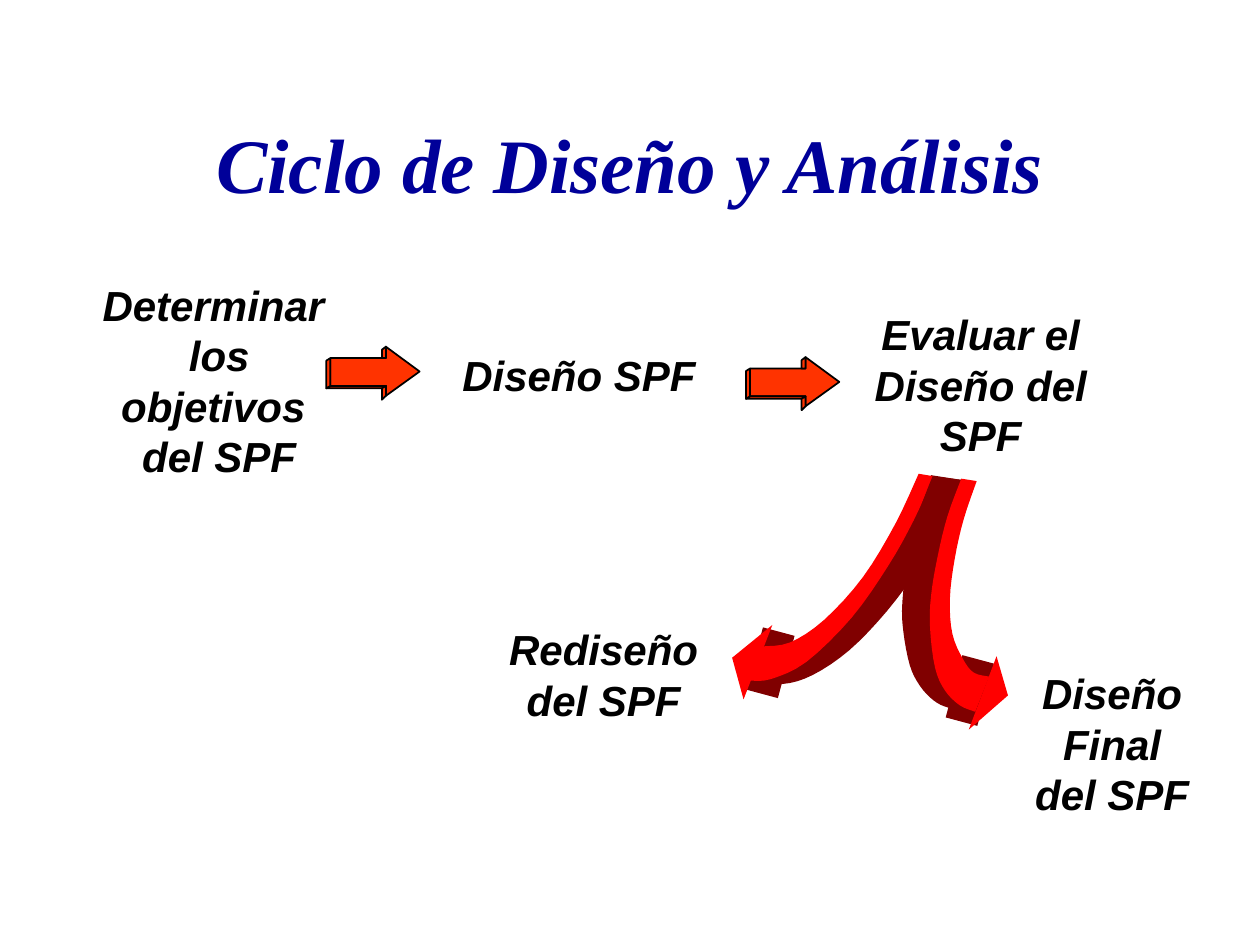
from pptx import Presentation
from pptx.dml.color import RGBColor
from pptx.enum.shapes import MSO_SHAPE as Preset
from pptx.enum.text import MSO_ANCHOR as Anchor, PP_ALIGN as Align
from pptx.util import Cm, Pt

# Content: paragraphs, box (left, top, width, height in cm), text format
TITLE = (["Ciclo de Diseño y Análisis"], (1.91, 1.7, 21.59, 3.18))
STEPS = [
    (["Determinar ", "los objetivos ", "del SPF"], (1.65, 5.51, 5.54, 4.32), {}),
    (["Diseño SPF"], (9.07, 6.93, 5.21, 1.27), dict(wrap=False, align=Align.LEFT)),
    (["Evaluar el", "Diseño del", "SPF"], (17.37, 6.1, 4.8, 3.3), dict(wrap=False)),
    (["Diseño Final", "del SPF"], (20.07, 13.34, 4.7, 3.3), {}),
    (["Rediseño", "del SPF"], (10.01, 12.45, 4.32, 2.29), dict(wrap=False)),
]

# Block arrow: front face, then the visible sides, relative to its corner
ARROW_CORNERS = [(6.58, 6.99), (15.04, 7.2)]
ARROW_FACES = [
    [(0.08, 0.23), (0.08, 0.79), (1.2, 0.79), (1.2, 0.99), (1.88, 0.5), (1.2, 0), (1.2, 0.23)],
    [(1.12, 0.84), (1.2, 0.79), (0.08, 0.79), (0, 0.84)],
    [(1.12, 0.84), (1.2, 0.79), (1.2, 0.99), (1.12, 1.07)],
    [(0, 0.28), (0.08, 0.23), (0.08, 0.79), (0, 0.84)],
    [(1.12, 0.23), (1.2, 0.23), (1.2, 0), (1.12, 0.06)],
]

# Forked arrow: each ribbon is bounded by two curved edges
BRANCHES = [
    dict(
        shade=([(19.41, 9.68), (19.02, 10.54), (18.57, 11.38), (17.88, 12.32),
                (17.12, 13.11), (16.38, 13.61), (15.77, 13.79), (15.11, 13.72)],
               [(15.39, 13.56), (16.66, 12.8), (17.63, 11.61), (18.39, 10.34), (18.77, 9.58)]),
        base=(14.88, 13.03),
        head=[(15.57, 12.6), (14.99, 14.1), (14.76, 13.26)],
        ribbon=([(18.52, 9.55), (18.06, 10.54), (17.4, 11.63), (16.61, 12.5),
                 (15.93, 12.95), (15.39, 13.03)],
                [(15.11, 13.72), (15.54, 13.69), (16.26, 13.34), (17.17, 12.45),
                 (17.91, 11.4), (18.42, 10.49), (18.82, 9.6)]),
    ),
    dict(
        shade=([(18.8, 9.6), (18.54, 10.29), (18.31, 11.18), (18.19, 12.14), (18.21, 12.73),
                (18.34, 13.41), (18.54, 13.82), (18.82, 14.12), (19.13, 14.27), (19.66, 14.35)],
               [(19.53, 14.12), (18.95, 13.13), (18.95, 11.79), (19.2, 10.44), (19.43, 9.68)]),
        base=(18.9, 13.59),
        head=[(20.09, 13.23), (19.53, 14.71), (20.32, 14.02)],
        ribbon=([(19.69, 9.7), (19.43, 10.46), (19.25, 11.25), (19.15, 12.07),
                 (19.2, 12.78), (19.41, 13.28), (19.63, 13.56), (19.94, 13.64)],
                [(19.66, 14.35), (19.35, 14.22), (19.05, 13.92), (18.85, 13.46), (18.75, 12.67),
                 (18.77, 12.01), (18.9, 11.23), (19.1, 10.41), (19.38, 9.65)]),
    ),
]
BASE_SIZE = (1.3, 0.66)
ORANGE, RED, DARK_RED, BLACK, NAVY = "FF3300", "FF0000", "800000", "000000", "000099"


def color(value):
    return RGBColor.from_string(value)


def add_text(shapes, lines, box, size=24, font="Arial", ink=BLACK,
             align=Align.CENTER, anchor=Anchor.TOP, wrap=True):
    frame = shapes.add_textbox(*map(Cm, box)).text_frame
    frame.word_wrap = wrap
    frame.vertical_anchor = anchor
    for index, line in enumerate(lines):
        paragraph = frame.paragraphs[0] if index == 0 else frame.add_paragraph()
        paragraph.alignment = align
        run = paragraph.add_run()
        run.text = line
        run.font.name, run.font.size = font, Pt(size)
        run.font.bold = run.font.italic = True
        run.font.color.rgb = color(ink)


def paint(shape, fill, line=None):
    shape.shadow.inherit = False
    shape.fill.solid()
    shape.fill.fore_color.rgb = color(fill)
    if line:
        shape.line.color.rgb = color(line)
        shape.line.width = Pt(1)
    else:
        shape.line.fill.background()


def add_polygon(shapes, points, fill, line=None):
    start, *rest = [(Cm(x), Cm(y)) for x, y in points]
    builder = shapes.build_freeform(*start)
    builder.add_line_segments(rest, close=True)
    paint(builder.convert_to_shape(), fill, line)


def smooth(points, steps=4):
    """Catmull-Rom curve through the points."""
    padded = [points[0], *points, points[-1]]
    curve = []
    for a, b, c, d in zip(padded, padded[1:], padded[2:], padded[3:]):
        for t in (step / steps for step in range(steps)):
            curve.append(tuple(
                q + t * (r - p) / 2 + t**2 * (2 * p - 5 * q + 4 * r - s) / 2
                + t**3 * (3 * q - p - 3 * r + s) / 2
                for p, q, r, s in zip(a, b, c, d)))
    return curve + [points[-1]]


presentation = Presentation()
presentation.slide_width, presentation.slide_height = Cm(25.4), Cm(19.05)
slide = presentation.slides.add_slide(presentation.slide_layouts[6])

# Title and steps
add_text(slide.shapes, *TITLE, size=44, font="Times New Roman", ink=NAVY, anchor=Anchor.MIDDLE)
for lines, box, text_format in STEPS:
    add_text(slide.shapes, lines, box, **text_format)

# Block arrows
for left, top in ARROW_CORNERS:
    arrow = slide.shapes.add_group_shape()
    for face in ARROW_FACES:
        add_polygon(arrow.shapes, [(left + x, top + y) for x, y in face], ORANGE, BLACK)

# Forked arrow
fork = slide.shapes.add_group_shape()
for branch in BRANCHES:
    shade, ribbon = ([point for edge in branch[part] for point in smooth(edge)]
                     for part in ("shade", "ribbon"))
    add_polygon(fork.shapes, shade, DARK_RED)
    base = fork.shapes.add_shape(Preset.RECTANGLE, *map(Cm, branch["base"] + BASE_SIZE))
    base.rotation = 105
    paint(base, DARK_RED)
    add_polygon(fork.shapes, branch["head"], RED)
    add_polygon(fork.shapes, ribbon, RED)

presentation.save("out.pptx")
